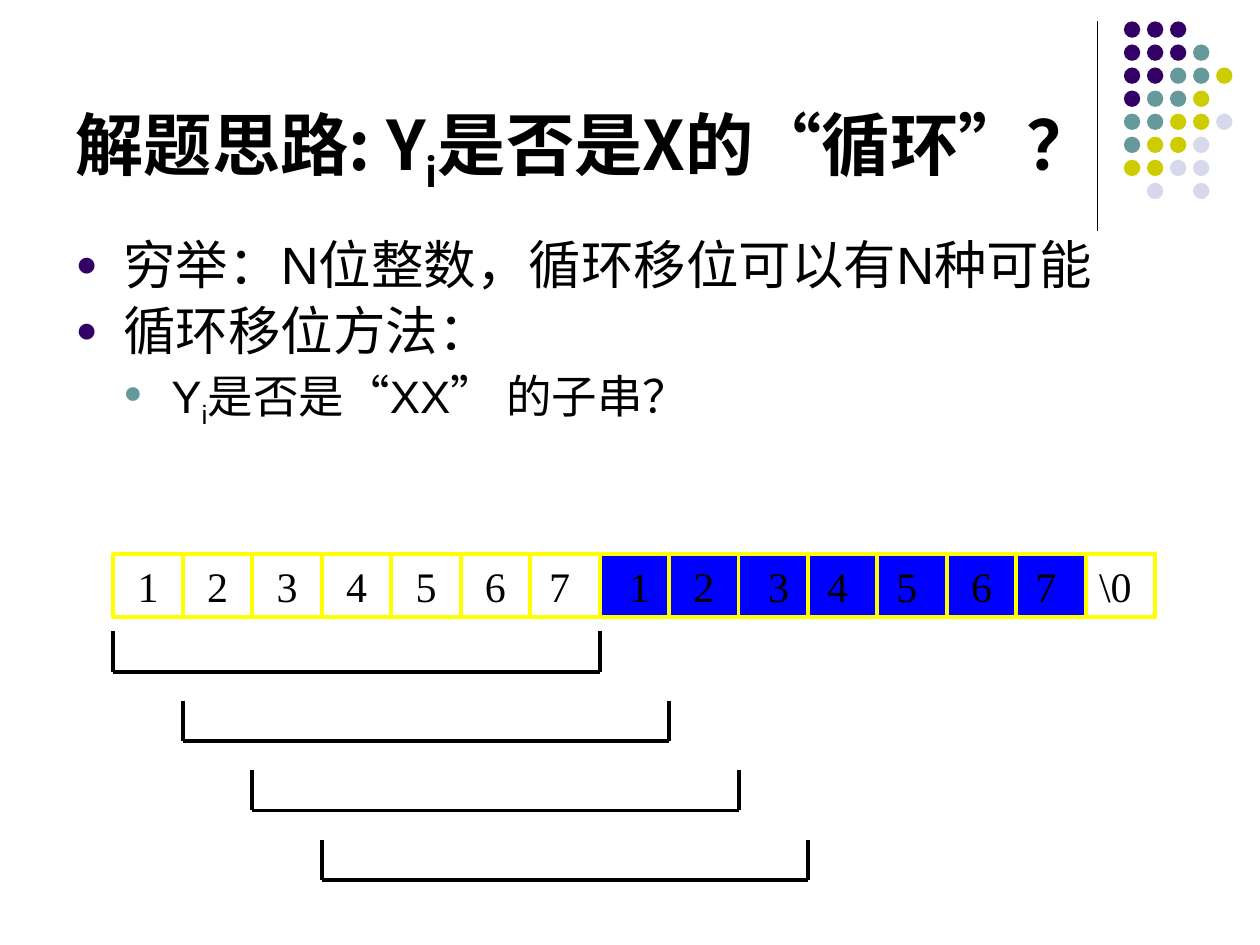
from lxml.etree import SubElement
from pptx import Presentation
from pptx.dml.color import RGBColor
from pptx.enum.shapes import MSO_CONNECTOR, MSO_SHAPE
from pptx.enum.text import MSO_ANCHOR, MSO_AUTO_SIZE, PP_ALIGN
from pptx.oxml.ns import qn
from pptx.util import Inches, Pt

COLORS = {
    "ink": "000000",
    "purple": "330066",
    "teal": "669999",
    "olive": "CCCC00",
    "lilac": "D8D8EC",
    "yellow": "FFFF00",
    "blue": "0000FF",
}
CJK = "Noto Sans CJK SC"
DOT_ROWS = ["PPP", "PPPT", "PPTTO", "PTTO", "TTOOL", "TOOL", "OOLL", " L L"]
DOT_COLORS = {"P": "purple", "T": "teal", "O": "olive", "L": "lilac"}
DOT_SIZE, DOT_STEP = 0.13, 0.183
DIGITS = ["1", "2", "3", "4", "5", "6", "7 ",
          " 1", "2", " 3", "4 ", "5 ", "6", "7 ", "\\0 "]
PERIOD = 7
ROW_LEFT, ROW_TOP, CELL_HEIGHT = 0.9, 4.4, 0.5
COLUMN = 8.27 / len(DIGITS)
BRACKET_TOP, BRACKET_HEIGHT, BRACKET_COUNT = 5.01, 0.32, 4


def rgb(name):
    return RGBColor.from_string(COLORS[name])


def write_text(paragraph, *pieces, size, font="Arial", bold=False,
               align=PP_ALIGN.LEFT, before=0, spacing=1.0):
    paragraph.alignment = align
    paragraph.space_before = Pt(before)
    paragraph.line_spacing = spacing
    for piece in pieces:
        words, face, baseline = (piece, font, 0) if isinstance(piece, str) else piece
        run = paragraph.add_run()
        run.text = words
        run.font.size = Pt(size)
        run.font.bold = bold
        run.font.name = face
        run.font.color.rgb = rgb("ink")
        SubElement(run.font._element, qn("a:ea"), typeface=CJK)
        if baseline:
            run.font._element.set("baseline", str(baseline * 1000))


def add_bullet(paragraph, color, indent):
    properties = paragraph._p.get_or_add_pPr()
    properties.set("marL", str(Inches(indent)))
    properties.set("indent", str(Inches(-0.38)))
    bullet_color = SubElement(properties, qn("a:buClr"))
    SubElement(bullet_color, qn("a:srgbClr"), val=COLORS[color])
    SubElement(properties, qn("a:buSzPct"), val="70000")
    SubElement(properties, qn("a:buFont"), typeface="Arial")
    SubElement(properties, qn("a:buChar"), char="●")


def place(placeholder, left, top, width, height, anchor):
    placeholder.left, placeholder.top = Inches(left), Inches(top)
    placeholder.width, placeholder.height = Inches(width), Inches(height)
    frame = placeholder.text_frame
    frame.auto_size = MSO_AUTO_SIZE.NONE
    frame.word_wrap = True
    frame.vertical_anchor = anchor
    return frame


def add_block(slide, kind, left, top, width, height, fill=None, border=None):
    block = slide.shapes.add_shape(kind, Inches(left), Inches(top),
                                   Inches(width), Inches(height))
    block.shadow.inherit = False
    if fill:
        block.fill.solid()
        block.fill.fore_color.rgb = rgb(fill)
    else:
        block.fill.background()
    if border:
        block.line.color.rgb = rgb(border)
        block.line.width = Pt(2.25)
    else:
        block.line.fill.background()
    return block


def add_line(slide, start, end, width):
    line = slide.shapes.add_connector(
        MSO_CONNECTOR.STRAIGHT, *(Inches(value) for value in (*start, *end)))
    line.line.color.rgb = rgb("ink")
    line.line.width = Pt(width)
    SubElement(line._element.spPr, qn("a:effectLst"))


def add_dots(slide):
    for row, codes in enumerate(DOT_ROWS):
        for column, code in enumerate(codes):
            if code in DOT_COLORS:
                add_block(slide, MSO_SHAPE.OVAL, 8.92 + column * DOT_STEP,
                          0.17 + row * DOT_STEP, DOT_SIZE, DOT_SIZE,
                          fill=DOT_COLORS[code])


def add_title(slide):
    frame = place(slide.shapes.title, 0.5, 0.13, 8.25, 1.42, MSO_ANCHOR.BOTTOM)
    write_text(frame.paragraphs[0], "解题思路: Y", ("i", CJK, -25), "是否是X的",
               ("“", "Arial", 0), "循环", ("”", "Arial", 0), "？",
               size=39, font=CJK, bold=True, spacing=0.93)


def add_points(slide):
    frame = place(slide.placeholders[1], 0.5, 1.88, 9, 4.82, MSO_ANCHOR.TOP)
    points = [
        (0, ["穷举：N位整数，循环移位可以有N种可能"], 30, 0),
        (0, ["循环移位方法："], 30, 7.5),
        (1, ["Y", ("i", "Arial", -25), "是否是“XX” 的子串？"], 26, 6.5),
    ]
    for index, (level, pieces, size, before) in enumerate(points):
        paragraph = frame.add_paragraph() if index else frame.paragraphs[0]
        paragraph.level = level
        add_bullet(paragraph, ("purple", "teal")[level], 0.38 * (level + 1))
        write_text(paragraph, *pieces, size=size, before=before, spacing=0.83)


def add_digits(slide):
    for index, digit in enumerate(DIGITS):
        repeated = PERIOD <= index < 2 * PERIOD
        cell = add_block(slide, MSO_SHAPE.RECTANGLE, ROW_LEFT + index * COLUMN,
                         ROW_TOP, COLUMN, CELL_HEIGHT,
                         fill="blue" if repeated else None, border="yellow")
        frame = cell.text_frame
        frame.word_wrap = True
        frame.vertical_anchor = MSO_ANCHOR.MIDDLE
        frame.margin_left = frame.margin_right = Inches(0.02)
        write_text(frame.paragraphs[0], digit, size=24, font="Times New Roman",
                   align=PP_ALIGN.CENTER)


def add_brackets(slide):
    for shift in range(BRACKET_COUNT):
        left = ROW_LEFT + shift * COLUMN
        right = left + PERIOD * COLUMN
        top = BRACKET_TOP + shift * COLUMN
        bottom = top + BRACKET_HEIGHT
        corners = [(left, top), (left, bottom), (right, bottom), (right, top)]
        for start, end in zip(corners, corners[1:]):
            add_line(slide, start, end, 2.25)


def main():
    deck = Presentation()
    deck.slide_width, deck.slide_height = Inches(10), Inches(7.5)
    slide = deck.slides.add_slide(deck.slide_layouts[1])
    add_line(slide, (8.71, 0.17), (8.71, 1.83), 0.75)
    add_dots(slide)
    add_title(slide)
    add_points(slide)
    add_digits(slide)
    add_brackets(slide)
    deck.save("out.pptx")


if __name__ == "__main__":
    main()
